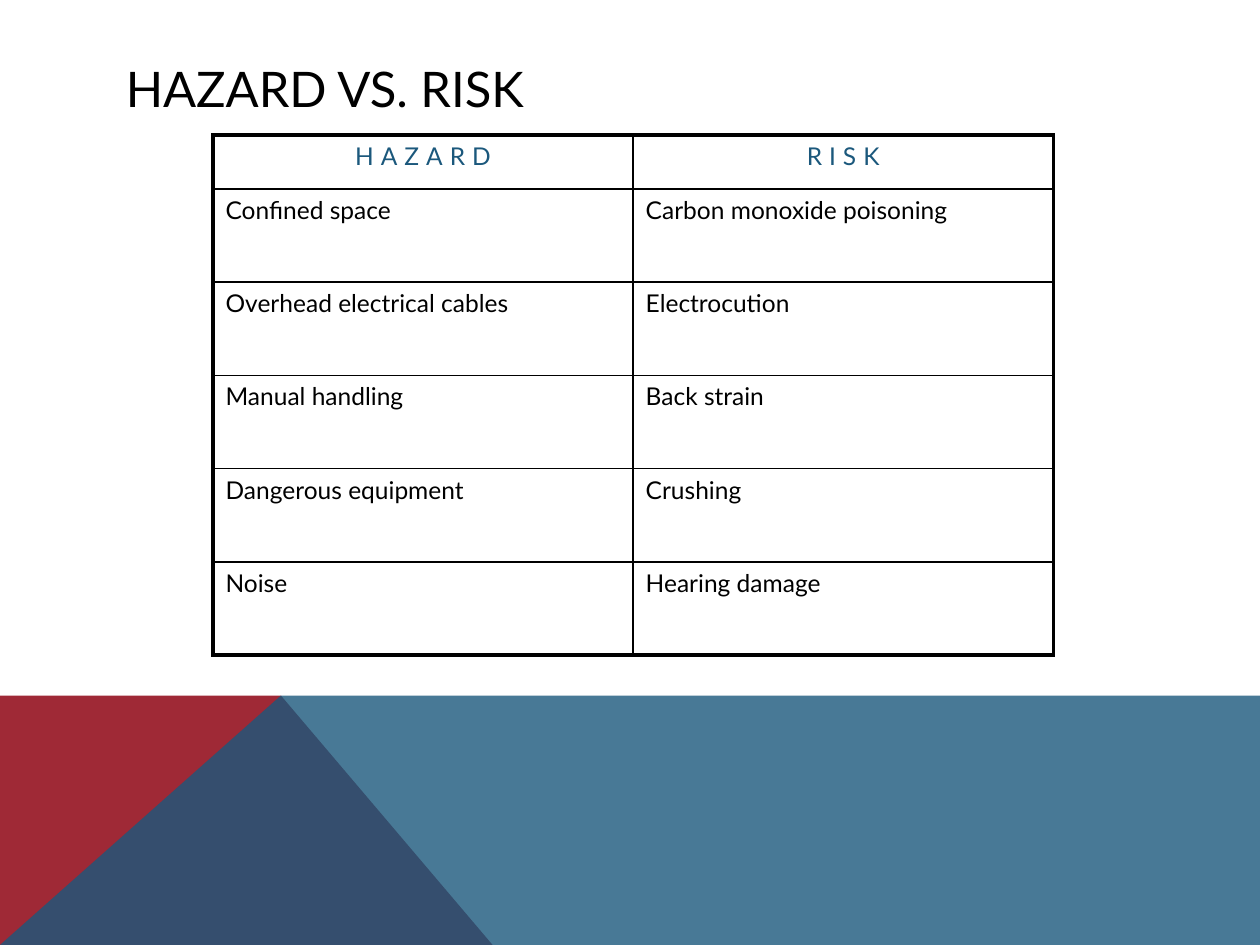
from lxml.etree import SubElement
from pptx import Presentation
from pptx.dml.color import RGBColor
from pptx.enum.text import MSO_ANCHOR, PP_ALIGN
from pptx.oxml.ns import qn
from pptx.util import Inches, Pt

BLACK = RGBColor(0x00, 0x00, 0x00)
RED = RGBColor(0x9F, 0x29, 0x36)
BLUE = RGBColor(0x1B, 0x58, 0x7C)
FONT = "Lato"
THIN, THICK = Pt(1), Pt(2.25)

ROWS = [
    ("HAZARD", "RISK"),
    ("Confined space", "Carbon monoxide poisoning"),
    ("Overhead electrical cables", "Electrocution"),
    ("Manual handling", "Back strain"),
    ("Dangerous equipment", "Crushing"),
    ("Noise", "Hearing damage"),
]


def style_run(run, size, color):
    for name, value in {"name": FONT, "size": Pt(size)}.items():
        setattr(run.font, name, value)
    run.font.color.rgb = color


def add_polygon(slide, points, color, opacity=100):
    corners = [(Inches(x), Inches(y)) for x, y in points]
    builder = slide.shapes.build_freeform(*corners[0])
    builder.add_line_segments(corners[1:], close=True)
    shape = builder.convert_to_shape()
    shape.shadow.inherit = False
    shape.fill.solid()
    shape.fill.fore_color.rgb = color
    shape.line.fill.background()
    if opacity < 100:
        color_element = shape.fill._xPr.find(qn("a:solidFill"))[0]
        SubElement(color_element, qn("a:alpha"), val=str(opacity * 1000))


def add_footer_band(slide, left, top, width, height):
    """Red wedge under a translucent blue band that share one peak."""
    right, bottom = left + width, top + height
    peak = (left + 2.23, top)
    add_polygon(slide, [(left, bottom), (left, top), peak, (left + 3.91, bottom)], RED)
    add_polygon(slide, [(left, bottom), peak, (right, top), (right, bottom)], BLUE, 80)


def add_title(slide, left, top, width, height):
    box = slide.shapes.add_textbox(Inches(left), Inches(top), Inches(width), Inches(height))
    frame = box.text_frame
    frame.word_wrap = True
    frame.vertical_anchor = MSO_ANCHOR.MIDDLE
    run = frame.paragraphs[0].add_run()
    run.text = "HAZARD VS. RISK"
    style_run(run, 28, BLACK)


def set_borders(cell, widths):
    properties = cell._tc.get_or_add_tcPr()
    for position, (side, width) in enumerate(widths.items()):
        line = properties.makeelement(qn(f"a:ln{side}"), {"w": str(int(width))})
        fill = SubElement(line, qn("a:solidFill"))
        SubElement(fill, qn("a:srgbClr"), val=str(BLACK))
        properties.insert(position, line)


def fill_cell(cell, text, is_header):
    cell.fill.background()
    paragraph = cell.text_frame.paragraphs[0]
    run = paragraph.add_run()
    run.text = text
    style_run(run, 14, BLUE if is_header else BLACK)
    if is_header:
        paragraph.alignment = PP_ALIGN.CENTER
        run.font._element.set("spc", "400")
    # Space before, relative to the text size
    spacing = SubElement(paragraph._p.get_or_add_pPr(), qn("a:spcBef"))
    SubElement(spacing, qn("a:spcPct"), val="20000")


def add_hazard_table(slide, left, top, width, height, header_height=0.43):
    row_count, column_count = len(ROWS), len(ROWS[0])
    frame = slide.shapes.add_table(
        row_count, column_count, Inches(left), Inches(top), Inches(width), Inches(height)
    )
    table = frame.table
    table.first_row = table.horz_banding = False
    for column in table.columns:
        column.width = Inches(width / column_count)
    body_height = (height - header_height) / (row_count - 1)
    for i, texts in enumerate(ROWS):
        table.rows[i].height = Inches(body_height if i else header_height)
        for j, text in enumerate(texts):
            cell = table.cell(i, j)
            fill_cell(cell, text, is_header=i == 0)
            # Thick outer frame, thin inner grid
            outer = {"L": j == 0, "R": j == column_count - 1,
                     "T": i == 0, "B": i == row_count - 1}
            set_borders(cell, {side: THICK if edge else THIN for side, edge in outer.items()})


def main():
    presentation = Presentation()
    presentation.slide_width, presentation.slide_height = Inches(10), Inches(7.5)
    slide = presentation.slides.add_slide(presentation.slide_layouts[6])
    add_footer_band(slide, 0, 5.52, 10, 1.98)
    add_title(slide, 0.9, 0.4, 8.22, 0.6)
    add_hazard_table(slide, 1.69, 1.07, 6.67, 4.13)
    presentation.save("out.pptx")


if __name__ == "__main__":
    main()
